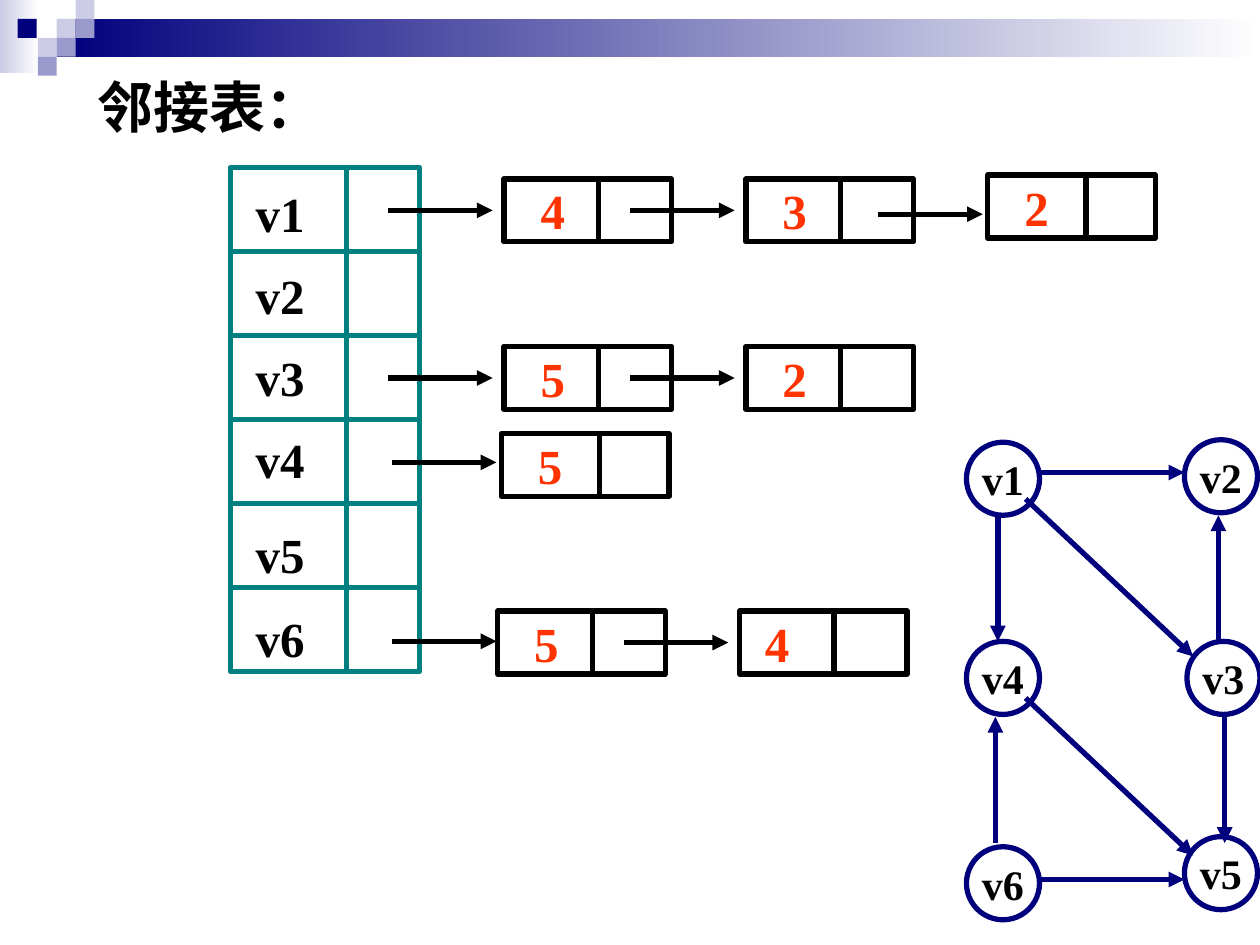
import pptx
import pptx.util
import pptx.dml.color
import pptx.enum.shapes
import pptx.enum.text
import pptx.oxml
import pptx.oxml.ns

Inches, Pt = pptx.util.Inches, pptx.util.Pt
SHAPE = pptx.enum.shapes.MSO_SHAPE
ALIGN = pptx.enum.text.PP_ALIGN

COLORS = {"navy": "00007D", "violet": "9999CC", "lilac": "CCCCE6", "white": "FFFFFF",
          "teal": "008080", "black": "000000", "red": "FF3300"}
FONT = "Times New Roman"

TITLE = "邻接表："
BANDS = [(0, 0, 0.31, 0.58, "lilac"), (0.45, 0.15, 9.55, 0.3, "navy")]
TILE = 0.15
TILES = [(0.45, 0.15, "lilac"), (0.6, 0, "lilac"), (0.6, 0.15, "violet"),
         (0.3, 0.3, "lilac"), (0.14, 0.15, "navy"), (0.45, 0.3, "violet"),
         (0.3, 0.45, "violet")]

VERTICES = ["v1", "v2", "v3", "v4", "v5", "v6"]
VERTEX_GAPS = [0, 8, 8, 8, 15, 9]
ARRAY_LEFT, ARRAY_TOP, ARRAY_WIDTH, ARRAY_HEIGHT = 1.83, 1.33, 1.5, 4
ARRAY_DIVIDER = 2.75

# value, left, top, divider offset, text inset, incoming arrow x and y
LIST_NODES = [
    ("4", 4, 1.42, 0.75, 0.29, 3.08, 1.67),
    ("3", 5.92, 1.42, 0.75, 0.29, 5, 1.67),
    ("2", 7.84, 1.39, 0.78, 0.29, 6.97, 1.7),
    ("5", 4, 2.75, 0.75, 0.29, 3.08, 3),
    ("2", 5.92, 2.75, 0.75, 0.29, 5, 3),
    ("5", 3.98, 3.44, 0.78, 0.29, 3.11, 3.67),
    ("5", 3.95, 4.85, 0.75, 0.29, 3.11, 5.09),
    ("4", 5.87, 4.85, 0.75, 0.2, 4.95, 5.1),
]
NODE_WIDTH, NODE_HEIGHT, POINTER_LENGTH = 1.33, 0.5, 0.83

GRAPH_VERTICES = {"v1": (7.67, 3.51), "v2": (9.4, 3.49), "v3": (9.42, 5.09),
                  "v4": (7.67, 5.09), "v5": (9.4, 6.64), "v6": (7.67, 6.72)}
DIAMETER = 0.58
GRAPH_EDGES = [
    (8.23, 3.75, 9.4, 3.75),   # v1 to v2
    (8.14, 3.96, 9.47, 5.21),  # v1 to v3
    (7.92, 4.09, 7.92, 5.09),  # v1 to v4
    (9.67, 5.09, 9.67, 4.09),  # v3 to v2
    (9.72, 5.69, 9.72, 6.69),  # v3 to v5
    (8.14, 5.54, 9.47, 6.79),  # v4 to v5
    (7.9, 6.69, 7.9, 5.69),    # v6 to v4
    (8.23, 6.98, 9.4, 6.98),   # v6 to v5
]


def rgb(name):
    return pptx.dml.color.RGBColor.from_string(COLORS[name])


def write(shape, lines, size, color="black", align=ALIGN.LEFT, inset=0.1, top=0.05,
          anchor=pptx.enum.text.MSO_ANCHOR.MIDDLE, wrap=True, gaps=None, spacing=None):
    frame = shape.text_frame
    frame.auto_size = pptx.enum.text.MSO_AUTO_SIZE.NONE
    frame.word_wrap = wrap
    frame.vertical_anchor = anchor
    frame.margin_left, frame.margin_right = Inches(inset), Inches(0.1)
    frame.margin_top = frame.margin_bottom = Inches(top)
    frame.text = "\n".join(lines)
    for index, paragraph in enumerate(frame.paragraphs):
        paragraph.alignment = align
        paragraph.space_before = Pt(gaps[index] if gaps else 0)
        if spacing:
            paragraph.line_spacing = Pt(spacing)
        font = paragraph.runs[0].font
        font.name, font.size, font.bold = FONT, Pt(size), True
        font.color.rgb = rgb(color)


def add_block(kind, left, top, width, height, fill="white", line=None):
    block = slide.shapes.add_shape(kind, Inches(left), Inches(top), Inches(width), Inches(height))
    block.shadow.inherit = False
    block.fill.solid()
    block.fill.fore_color.rgb = rgb(fill)
    if line:
        block.line.color.rgb = rgb(line)
        block.line.width = Pt(3)
    else:
        block.line.fill.background()
    return block


def add_line(x1, y1, x2, y2, color, arrow=False):
    connector = slide.shapes.add_connector(
        pptx.enum.shapes.MSO_CONNECTOR.STRAIGHT, Inches(x1), Inches(y1), Inches(x2), Inches(y2))
    connector.line.color.rgb = rgb(color)
    connector.line.width = Pt(3)
    if arrow:
        tail = pptx.oxml.parse_xml(
            f'<a:tailEnd {pptx.oxml.ns.nsdecls("a")} type="triangle"/>')
        connector.line._get_or_add_ln().append(tail)
    connector._element.spPr.append(
        pptx.oxml.parse_xml(f'<a:effectLst {pptx.oxml.ns.nsdecls("a")}/>'))


def draw_header():
    for left, top, width, height, color in BANDS:
        band = add_block(SHAPE.RECTANGLE, left, top, width, height)
        band.fill.gradient()
        band.fill.gradient_angle = 0
        for stop, stop_color in zip(band.fill.gradient_stops, (color, "white")):
            stop.color.rgb = rgb(stop_color)
    for left, top, color in TILES:
        add_block(SHAPE.RECTANGLE, left, top, TILE, TILE, color)
    title = slide.shapes.title
    title.left, title.top = Inches(0.67), Inches(0.52)
    title.width, title.height = Inches(5.91), Inches(0.64)
    write(title, [TITLE], 32)


def draw_vertex_array():
    array = add_block(SHAPE.RECTANGLE, ARRAY_LEFT, ARRAY_TOP, ARRAY_WIDTH, ARRAY_HEIGHT,
                      line="teal")
    write(array, VERTICES, 28, inset=0.2, anchor=pptx.enum.text.MSO_ANCHOR.TOP,
          gaps=VERTEX_GAPS, spacing=39)
    for row in range(1, len(VERTICES)):
        y = ARRAY_TOP + row * ARRAY_HEIGHT / len(VERTICES)
        add_line(ARRAY_LEFT, y, ARRAY_LEFT + ARRAY_WIDTH, y, "teal")
    add_line(ARRAY_DIVIDER, ARRAY_TOP, ARRAY_DIVIDER, ARRAY_TOP + ARRAY_HEIGHT, "teal")


def draw_linked_lists():
    for value, left, top, divider, inset, _, _ in LIST_NODES:
        node = add_block(SHAPE.RECTANGLE, left, top, NODE_WIDTH, NODE_HEIGHT, line="black")
        write(node, [value], 28, color="red", inset=inset)
        add_line(left + divider, top, left + divider, top + NODE_HEIGHT, "black")
    for *_, x, y in LIST_NODES:
        add_line(x, y, x + POINTER_LENGTH, y, "black", arrow=True)


def draw_graph():
    for name, (left, top) in GRAPH_VERTICES.items():
        vertex = add_block(SHAPE.OVAL, left, top, DIAMETER, DIAMETER, line="navy")
        write(vertex, [name], 24, align=ALIGN.CENTER, wrap=False)
    for edge in GRAPH_EDGES:
        add_line(*edge, "navy", arrow=True)


deck = pptx.Presentation()
deck.slide_width, deck.slide_height = Inches(10), Inches(7.5)
slide = deck.slides.add_slide(deck.slide_layouts[5])
draw_header()
draw_vertex_array()
draw_linked_lists()
draw_graph()
deck.save("out.pptx")
